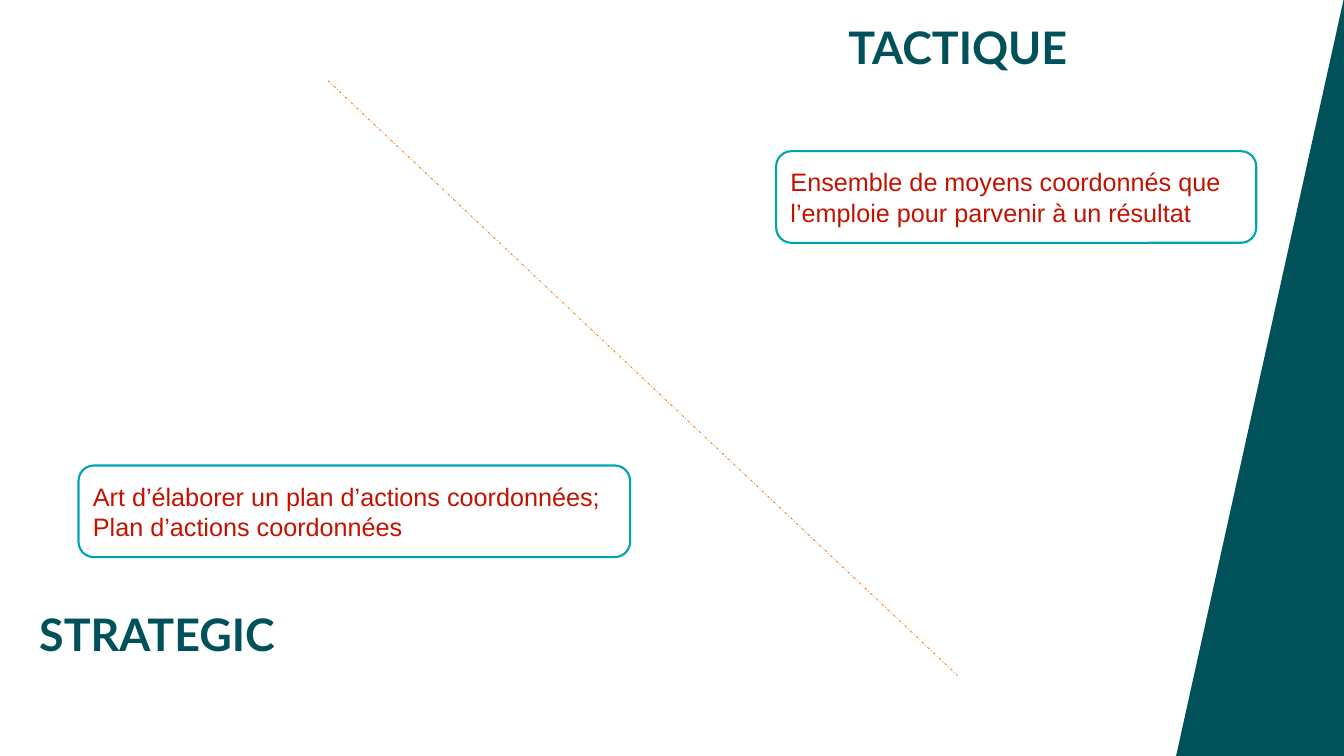
from lxml import etree
from pptx import Presentation
from pptx.dml.color import RGBColor
from pptx.enum import dml, shapes, text
from pptx.oxml.ns import qn
from pptx.util import Cm, Pt

DARK, TEAL, RED, ORANGE = "00515A", "00A3B4", "C31200", "F1730B"


def paint(color, value):
    color.rgb = RGBColor.from_string(value)


def write(tf, lines, font, size, color, bold=False):
    tf.word_wrap = True
    for i, line in enumerate(lines):
        p = tf.add_paragraph() if i else tf.paragraphs[0]
        p.alignment = text.PP_ALIGN.LEFT
        r = p.add_run()
        r.text = line
        r.font.name = font
        r.font.size = Pt(size)
        r.font.bold = bold
        paint(r.font.color, color)


def add_heading(s, left, top, title):
    sp = s.shapes.add_textbox(Cm(left), Cm(top), Cm(9.5), Cm(1.78))
    write(sp.text_frame, [title], "Lato", 32, DARK, bold=True)


def add_definition(s, left, top, width, lines):
    sp = s.shapes.add_shape(shapes.MSO_SHAPE.ROUNDED_RECTANGLE,
                            Cm(left), Cm(top), Cm(width), Cm(2.31))
    sp.shadow.inherit = False
    sp.fill.background()
    paint(sp.line.color, TEAL)
    sp.line.width = Pt(1.5)
    sp.text_frame.vertical_anchor = text.MSO_ANCHOR.MIDDLE
    write(sp.text_frame, lines, "Arial", 18, RED)


def add_side_wedge(s):
    fb = s.shapes.build_freeform(Cm(29.64), Cm(19.05))
    fb.add_line_segments([(Cm(33.87), Cm(-0.05)), (Cm(33.87), Cm(19.05))])
    sp = fb.convert_to_shape()
    sp.shadow.inherit = False
    sp.fill.solid()
    paint(sp.fill.fore_color, DARK)
    sp.line.fill.background()


def add_divider(s):
    line = s.shapes.add_connector(shapes.MSO_CONNECTOR.STRAIGHT,
                                  Cm(8.26), Cm(2.03), Cm(24.13), Cm(17.02))
    paint(line.line.color, ORANGE)
    line.line.width = Pt(0.5)
    line.line.dash_style = dml.MSO_LINE.DASH_DOT
    etree.SubElement(line._element.spPr, qn("a:effectLst"))


def main():
    prs = Presentation()
    prs.slide_width, prs.slide_height = Cm(33.87), Cm(19.05)
    s = prs.slides.add_slide(prs.slide_layouts[6])
    add_side_wedge(s)
    add_heading(s, 0.74, 15.16, "STRATEGIC")
    add_definition(s, 1.98, 11.73, 13.9,
                   ["Art d’élaborer un plan d’actions coordonnées;",
                    "Plan d’actions coordonnées"])
    add_definition(s, 19.56, 3.81, 12.1,
                   ["Ensemble de moyens coordonnés que l’emploie pour parvenir à un résultat"])
    add_divider(s)
    add_heading(s, 21.13, 0.38, "TACTIQUE")
    prs.save("out.pptx")


if __name__ == "__main__":
    main()
